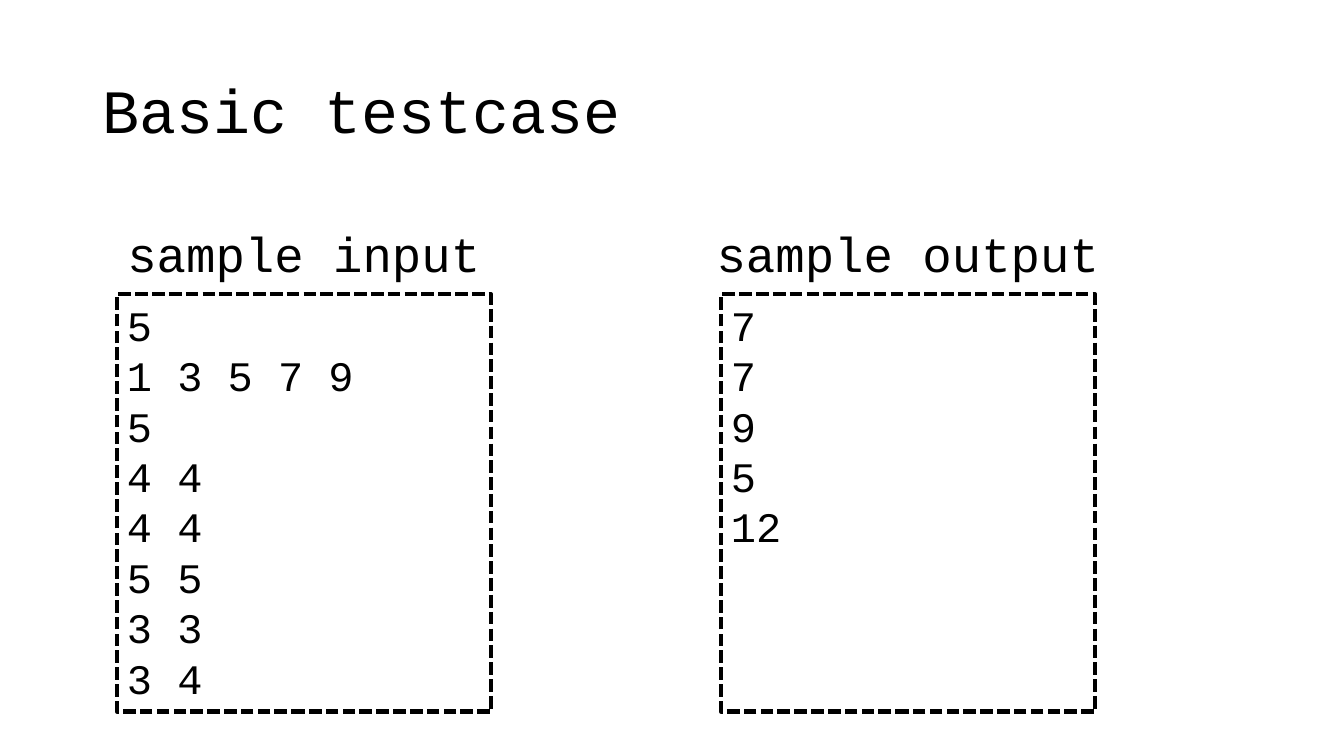
from dataclasses import dataclass

from pptx import Presentation
from pptx.dml.color import RGBColor as RGB
from pptx.enum.dml import MSO_LINE as DASH
from pptx.enum.shapes import MSO_SHAPE as SHAPE
from pptx.enum.text import MSO_ANCHOR as ANCHOR, PP_ALIGN as ALIGN
from pptx.util import Inches, Pt


@dataclass
class Theme:
    font: str = "Courier New"
    ink: RGB = RGB(0, 0, 0)
    paper: RGB = RGB(255, 255, 255)
    title: int = 44
    heading: int = 35
    body: int = 30
    border: int = 3


theme = Theme()


def write(tf, text, size, align=ALIGN.LEFT, anchor=ANCHOR.TOP, spacing=None):
    tf.word_wrap = True
    tf.vertical_anchor = anchor
    for i, line in enumerate(text.split("\n")):
        p = tf.paragraphs[0] if i == 0 else tf.add_paragraph()
        p.alignment = align
        p.line_spacing = spacing
        r = p.add_run()
        r.text = line
        r.font.name = theme.font
        r.font.size = Pt(size)
        r.font.color.rgb = theme.ink


prs = Presentation()
prs.slide_width, prs.slide_height = Inches(13.33), Inches(7.5)
s = prs.slides.add_slide(prs.slide_layouts[6])
s.background.fill.solid()
s.background.fill.fore_color.rgb = theme.paper

title = s.shapes.add_textbox(Inches(0.92), Inches(0.4), Inches(11.5), Inches(1.45))
write(title.text_frame, "Basic testcase", theme.title, anchor=ANCHOR.MIDDLE, spacing=0.9)

samples = [
    (1.16, "sample input", "5\n1 3 5 7 9\n5\n4 4\n4 4\n5 5\n3 3\n3 4"),
    (7.15, "sample output", "7\n7\n9\n5\n12"),
]
for left, heading, data in samples:
    sp = s.shapes.add_shape(SHAPE.RECTANGLE, Inches(left), Inches(2.92), Inches(3.71), Inches(4.14))
    sp.shadow.inherit = False
    sp.fill.background()
    sp.line.color.rgb = theme.ink
    sp.line.width = Pt(theme.border)
    sp.line.dash_style = DASH.SQUARE_DOT
    write(sp.text_frame, data, theme.body)

    label = s.shapes.add_textbox(Inches(left - 0.21), Inches(2.17), Inches(4.13), Inches(0.69))
    write(label.text_frame, heading, theme.heading, align=ALIGN.CENTER)

prs.save("out.pptx")
